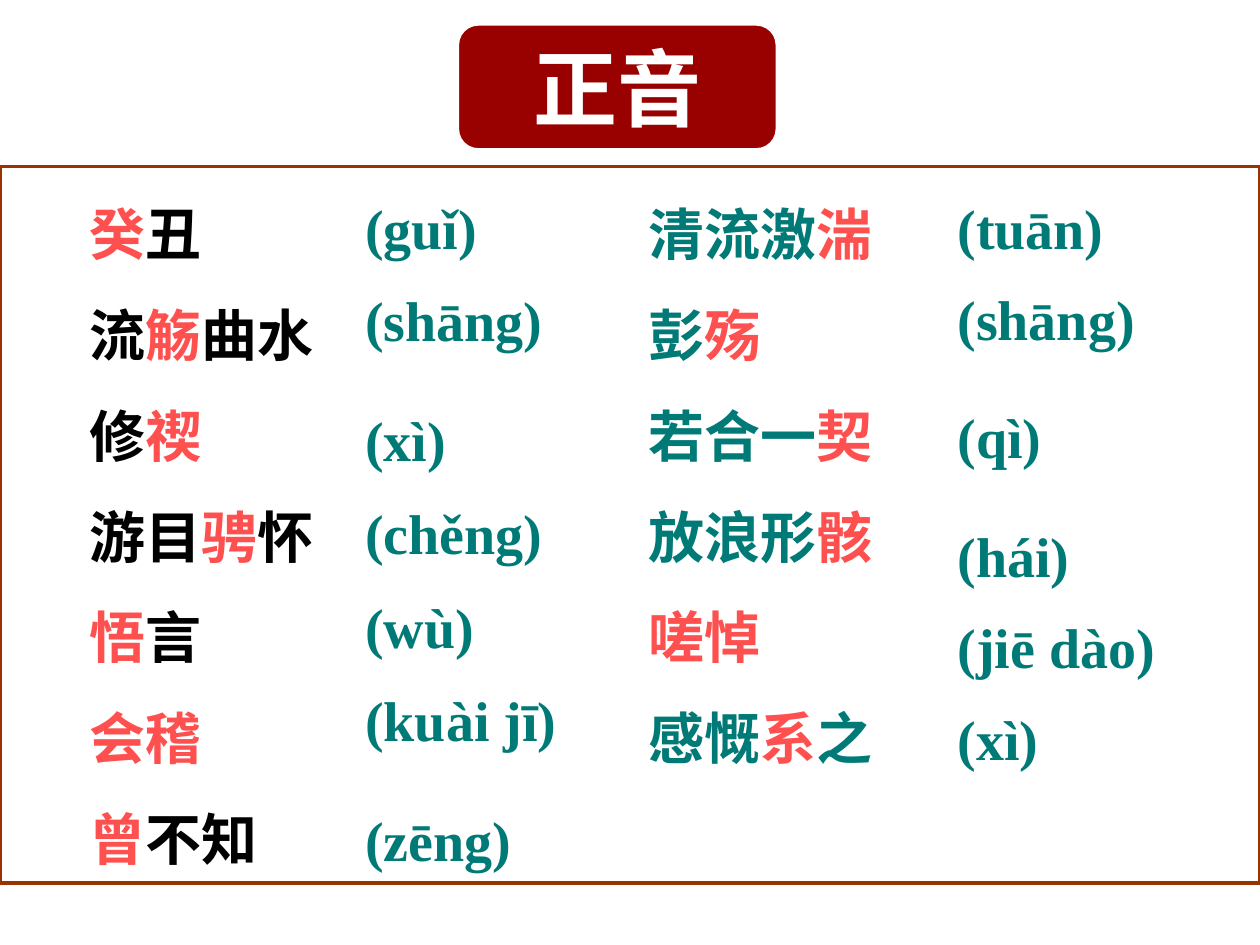
"""Builds the pronunciation slide: words in two columns with their pinyin beside them."""
from lxml import etree
from pptx import Presentation, util as u
from pptx.dml import color
from pptx.enum import shapes, text
from pptx.oxml import ns

COLORS = {"white": "FFFFFF", "frame": "993300", "title": "990000",
          "key": "FF5050", "ink": "010000", "teal": "007A77"}
FORMATS = {
    "title": {"name": "Arial", "size": u.Pt(48), "bold": True},
    "word": {"name": "Arial", "size": u.Pt(32), "bold": True},
    "pinyin": {"name": "Times New Roman", "size": u.Pt(32), "bold": True},
}
WORDS_LEFT = ["[癸]丑", "流[觞]曲水", "修[禊]", "游目[骋]怀", "[悟]言", "[会稽]", "[曾]不知"]
WORDS_RIGHT = ["清流激[湍]", "彭[殇]", "若合一[契]", "放浪形[骸]", "[嗟悼]", "感慨[系]之"]
PINYIN_LEFT = [("(guǐ)", 1.4), ("(shāng)", 1), ("(xì)", 1.4), ("(chěng)", 1),
               ("(wù)", 1), ("(kuài jī)", 1), ("(zēng)", 1.4)]
PINYIN_RIGHT = [("(tuān)", 1.4), ("(shāng)", 1), ("(qì)", 1.4), ("(hái)", 1.4),
                ("(jiē dào)", 1), ("(xì)", 1)]


class Board:
    """Holds the slide, its 100 by 75 grid and the style of each kind of element."""

    def __init__(self, deck):
        self.slide = deck.slides.add_slide(deck.slide_layouts[6])
        self.column = deck.slide_width / 100
        self.row = deck.slide_height / 75

    def place(self, left, top, width, height):
        return [round(cells * unit) for cells, unit in
                zip((left, top, width, height), (self.column, self.row) * 2)]

    def styled_run(self, paragraph, content, style, ink):
        run = paragraph.add_run()
        run.text = content
        for name, value in FORMATS[style].items():
            setattr(run.font, name, value)
        run.font.color.rgb = color.RGBColor.from_string(COLORS[ink])

    def panel(self, kind, area, fill, line, opacity=100):
        panel = self.slide.shapes.add_shape(kind, *self.place(*area))
        panel.shadow.inherit = False
        panel.fill.solid()
        panel.fill.fore_color.rgb = color.RGBColor.from_string(COLORS[fill])
        panel.line.color.rgb = color.RGBColor.from_string(COLORS[line])
        panel.line.width = u.Pt(2)
        if opacity < 100:
            solid = panel.element.spPr.find(ns.qn("a:solidFill"))
            etree.SubElement(solid[0], ns.qn("a:alpha"), val=str(opacity * 1000))
        return panel

    def title(self, content, area):
        badge = self.panel(shapes.MSO_SHAPE.ROUNDED_RECTANGLE, area, "title", "white")
        badge.text_frame.vertical_anchor = text.MSO_ANCHOR.MIDDLE
        heading = badge.text_frame.paragraphs[0]
        heading.alignment = text.PP_ALIGN.CENTER
        self.styled_run(heading, content, "title", "white")

    def text_frame(self, area):
        frame = self.slide.shapes.add_textbox(*self.place(*area)).text_frame
        frame.word_wrap = True
        return frame

    def words(self, entries, area, ink):
        frame = self.text_frame(area)
        for index, entry in enumerate(entries):
            line = frame.add_paragraph() if index else frame.paragraphs[0]
            line.line_spacing = 1.5
            for position, part in enumerate(entry.replace("]", "[").split("[")):
                if part:
                    self.styled_run(line, part, "word", "key" if position % 2 else ink)

    def pinyin(self, entries, left, top, gap):
        for reading, spacing in entries:
            height = 8.5 if spacing > 1 else 6.4
            line = self.text_frame((left, top, 24, height)).paragraphs[0]
            line.line_spacing = spacing
            self.styled_run(line, reading, "pinyin", "teal")
            top += height + gap


def main():
    deck = Presentation()
    deck.slide_width, deck.slide_height = u.Inches(10), u.Inches(7.5)
    board = Board(deck)
    board.panel(shapes.MSO_SHAPE.RECTANGLE, (0, 13.2, 100, 56.9), "white", "frame", 74)
    board.words(WORDS_LEFT, (6.1, 12.7, 23.9, 57), "ink")
    board.title("正音", (36.3, 1.9, 25.4, 10))
    board.pinyin(PINYIN_LEFT, 28, 12.7, 1)
    board.words(WORDS_RIGHT, (50.5, 12.7, 27.3, 49), "teal")
    board.pinyin(PINYIN_RIGHT, 75, 12.7, 0.88)
    deck.save("out.pptx")


if __name__ == "__main__":
    main()
